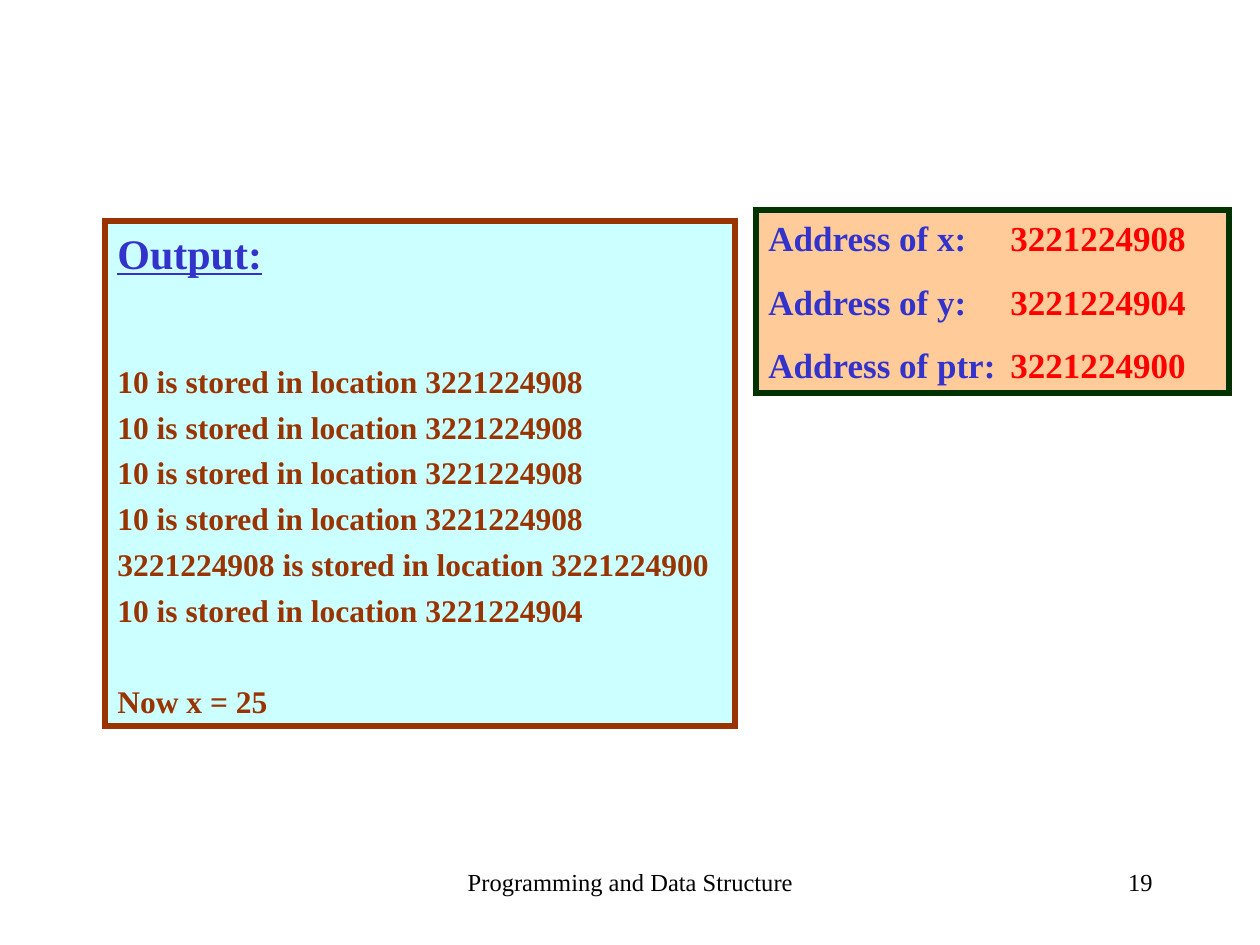
from lxml.etree import SubElement
from pptx import Presentation
from pptx.dml.color import RGBColor
from pptx.enum.shapes import MSO_SHAPE as Shape
from pptx.enum.text import MSO_ANCHOR as Anchor, PP_ALIGN as Align
from pptx.oxml.ns import qn
from pptx.util import Pt

EMU_PER_PX = 914400 / 126
FONT = "Times New Roman"
COLORS = {
    "black": "000000", "blue": "3333CC", "red": "FF0000", "brown": "993300",
    "green": "003300", "aqua": "CCFFFF", "peach": "FFCC99",
}


def px(length):
    """Turn a length in px into EMU."""
    return round(length * EMU_PER_PX)


def color(name):
    """Look up a palette colour."""
    return RGBColor.from_string(COLORS[name])


def write(frame, parts, size, bold=False, underline=None, before=0,
          align=Align.LEFT, tab=None):
    """Add one paragraph made of (text, colour) parts to a text frame."""
    first = not frame.paragraphs[0].runs
    paragraph = frame.paragraphs[0] if first else frame.add_paragraph()
    if tab is not None:
        tab_list = SubElement(paragraph._p.get_or_add_pPr(), qn("a:tabLst"))
        SubElement(tab_list, qn("a:tab"), pos=str(px(tab)), algn="l")
    paragraph.alignment = align
    if not first:
        paragraph.space_before = Pt(before)
    for text, color_name in parts:
        run = paragraph.add_run()
        run.text = text
        run.font.name = FONT
        run.font.size = Pt(size)
        run.font.bold = bold
        run.font.underline = underline
        run.font.color.rgb = color(color_name)


def add_panel(slide, box, fill, line):
    """Draw a rectangle with a square-cornered border and return its text frame."""
    panel = slide.shapes.add_shape(Shape.RECTANGLE, *map(px, box))
    panel.shadow.inherit = False
    panel.fill.solid()
    panel.fill.fore_color.rgb = color(fill)
    panel.line.color.rgb = color(line)
    panel.line.width = Pt(3)
    SubElement(panel.line._get_or_add_ln(), qn("a:miter"), lim="800000")
    frame = panel.text_frame
    frame.word_wrap = True
    frame.vertical_anchor = Anchor.TOP
    return frame


def add_output(slide, box):
    """Place the panel with the program output."""
    frame = add_panel(slide, box, "aqua", "brown")
    write(frame, [("Output:", "blue")], 24, bold=True, underline=True)
    stored = [(10, 3221224908)] * 4 + [(3221224908, 3221224900), (10, 3221224904)]
    for index, (value, location) in enumerate(stored):
        write(frame, [(f"{value} is stored in location {location}", "brown")], 18,
              bold=True, before=4.5 if index else 48.3)
    write(frame, [("Now x = 25", "brown")], 18, bold=True, before=30.6)


def add_addresses(slide, box):
    """Place the panel that lists the variable addresses."""
    frame = add_panel(slide, box, "peach", "green")
    addresses = {"x": 3221224908, "y": 3221224904, "ptr": 3221224900}
    for name, address in addresses.items():
        write(frame, [(f"Address of {name}:", "blue"), (f"\t{address}", "red")], 20,
              bold=True, before=12.5, tab=242)


def add_footer(slide, box, text, align):
    """Place one footer text."""
    frame = slide.shapes.add_textbox(*map(px, box)).text_frame
    frame.word_wrap = True
    write(frame, [(text, "black")], 14, align=align)


def main():
    """Build and save the slide."""
    presentation = Presentation()
    presentation.slide_width, presentation.slide_height = px(1260), px(945)
    slide = presentation.slides.add_slide(presentation.slide_layouts[6])
    add_footer(slide, (431, 861, 399, 63), "Programming and Data Structure", Align.CENTER)
    add_footer(slide, (903, 861, 262, 63), "19", Align.RIGHT)
    add_output(slide, (105, 221, 630, 505))
    add_addresses(slide, (756, 210, 473, 183))
    presentation.save("out.pptx")


if __name__ == "__main__":
    main()
